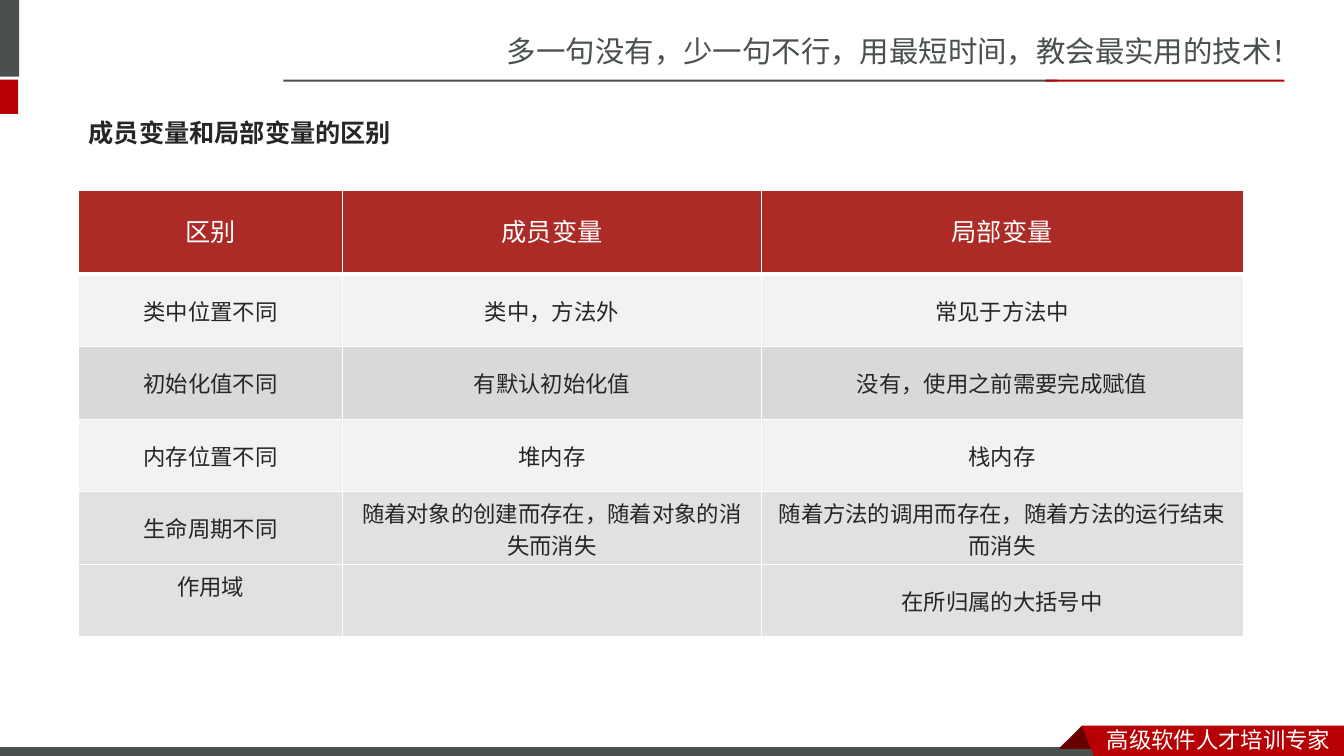
"""Build the slide comparing member variables and local variables."""
from pptx import Presentation, util as u
from pptx.dml.color import RGBColor
from pptx.enum import shapes as s, text as t
from pptx.oxml import parse_xml
from pptx.oxml.ns import nsdecls

HUES = {"gray": "49504F", "red": "B60004", "dark": "680000", "white": "FFFFFF",
        "ink": "262626", "head": "AD2B26", "pale": "F2F2F2", "mid": "D9D9D9",
        "soft": "E1E1E1"}
CJK = "Noto Sans CJK SC"


def style(frame, size, hue, face=CJK, bold=False):
    for run in frame.paragraphs[0].runs:
        run.font.size = u.Pt(size)
        run.font.bold = bold
        run.font.name = face
        run.font.color.rgb = RGBColor.from_string(HUES[hue])
        run.font._element.append(parse_xml(f'<a:ea {nsdecls("a")} typeface="{CJK}"/>'))


def paint(shape, hue, edge=None):
    shape.shadow.inherit = False
    shape.fill.solid()
    shape.fill.fore_color.rgb = RGBColor.from_string(HUES[hue])
    if edge:
        shape.line.color.rgb = RGBColor.from_string(HUES[edge])
        shape.line.width = u.Pt(0.75)
    else:
        shape.line.fill.background()


prs = Presentation()
prs.slide_width, prs.slide_height = u.Inches(13.33), u.Inches(7.5)
slide = prs.slides.add_slide(prs.slide_layouts[5])
items = slide.shapes

bars = [(-0.06, 0, 0.25, 0.76, "gray", None),
        (-0.06, 0.79, 0.24, 0.34, "red", None),
        (2.81, 0.79, 7.68, 0.02, "gray", None),
        (10.37, 0.79, 2.37, 0.02, "red", None),
        (-0.01, 7.41, 11, 0.12, "gray", "white")]
for *box, hue, edge in bars:
    bar = items.add_shape(s.MSO_SHAPE.RECTANGLE, *map(u.Inches, box))
    paint(bar, hue, edge)

folds = [([(10.73, 7.2), (10.95, 7.42), (10.94, 7.43), (10.52, 7.43), (10.51, 7.42)], "dark"),
         ([(10.73, 7.2), (13.33, 7.2), (13.33, 7.54), (10.86, 7.53)], "red")]
for points, hue in folds:
    start, *rest = [(u.Inches(x), u.Inches(y)) for x, y in points]
    pen = items.build_freeform(*start)
    pen.add_line_segments(rest, close=True)
    paint(pen.convert_to_shape(), hue)

labels = [("多一句没有，少一句不行，用最短时间，教会最实用的技术！", (4.93, 0.28, 8.41, 0.47), 21, "gray"),
          ("高级软件人才培训专家", (10.88, 7.15, 2.45, 0.37), 16, "white")]
for words, box, size, hue in labels:
    frame = items.add_textbox(*map(u.Inches, box)).text_frame
    frame.word_wrap = True
    frame.text = words
    style(frame, size, hue)

title = items.title
title.left, title.top, title.width, title.height = map(u.Inches, (0.78, 1.03, 3.68, 0.57))
frame = title.text_frame
frame.text = "成员变量和局部变量的区别"
frame.auto_size = t.MSO_AUTO_SIZE.NONE
frame.vertical_anchor = t.MSO_ANCHOR.MIDDLE
frame.paragraphs[0].alignment = t.PP_ALIGN.LEFT
style(frame, 18, "ink", "DejaVu Sans Mono", True)

rows = [("head", "区别", "成员变量", "局部变量"),
        ("pale", "类中位置不同", "类中，方法外", "常见于方法中"),
        ("mid", "初始化值不同", "有默认初始化值", "没有，使用之前需要完成赋值"),
        ("pale", "内存位置不同", "堆内存", "栈内存"),
        ("soft", "生命周期不同", "随着对象的创建而存在，随着对象的消失而消失",
         "随着方法的调用而存在，随着方法的运行结束而消失"),
        ("soft", "作用域", "", "在所归属的大括号中")]
grid = items.add_table(len(rows), 3, *map(u.Inches, (0.78, 1.89, 11.55, 4.43))).table
for col, width in zip(grid.columns, (2.62, 4.15, 4.78)):
    col.width = u.Inches(width)

for i, (hue, *words) in enumerate(rows):
    grid.rows[i].height = u.Inches(0.72 if i else 0.83)
    for j, word in enumerate(words):
        cell = grid.cell(i, j)
        cell.text = word
        cell.vertical_anchor = t.MSO_ANCHOR.TOP if word == "作用域" else t.MSO_ANCHOR.MIDDLE
        line = cell.text_frame.paragraphs[0]
        line.alignment = t.PP_ALIGN.CENTER
        if i == 0:
            line.line_spacing = u.Pt(24)
        style(cell.text_frame, 16 if i else 18, "ink" if i else "white", "Calibri")
        for side in "LRTB":
            thick = 3 if (i, side) in ((0, "B"), (1, "T")) else 1
            cell._tc.get_or_add_tcPr().append(parse_xml(
                f'<a:ln{side} {nsdecls("a")} w="{u.Pt(thick)}"><a:solidFill>'
                f'<a:srgbClr val="{HUES["white"]}"/></a:solidFill></a:ln{side}>'))
        cell.fill.solid()
        cell.fill.fore_color.rgb = RGBColor.from_string(HUES[hue])

prs.save("out.pptx")
